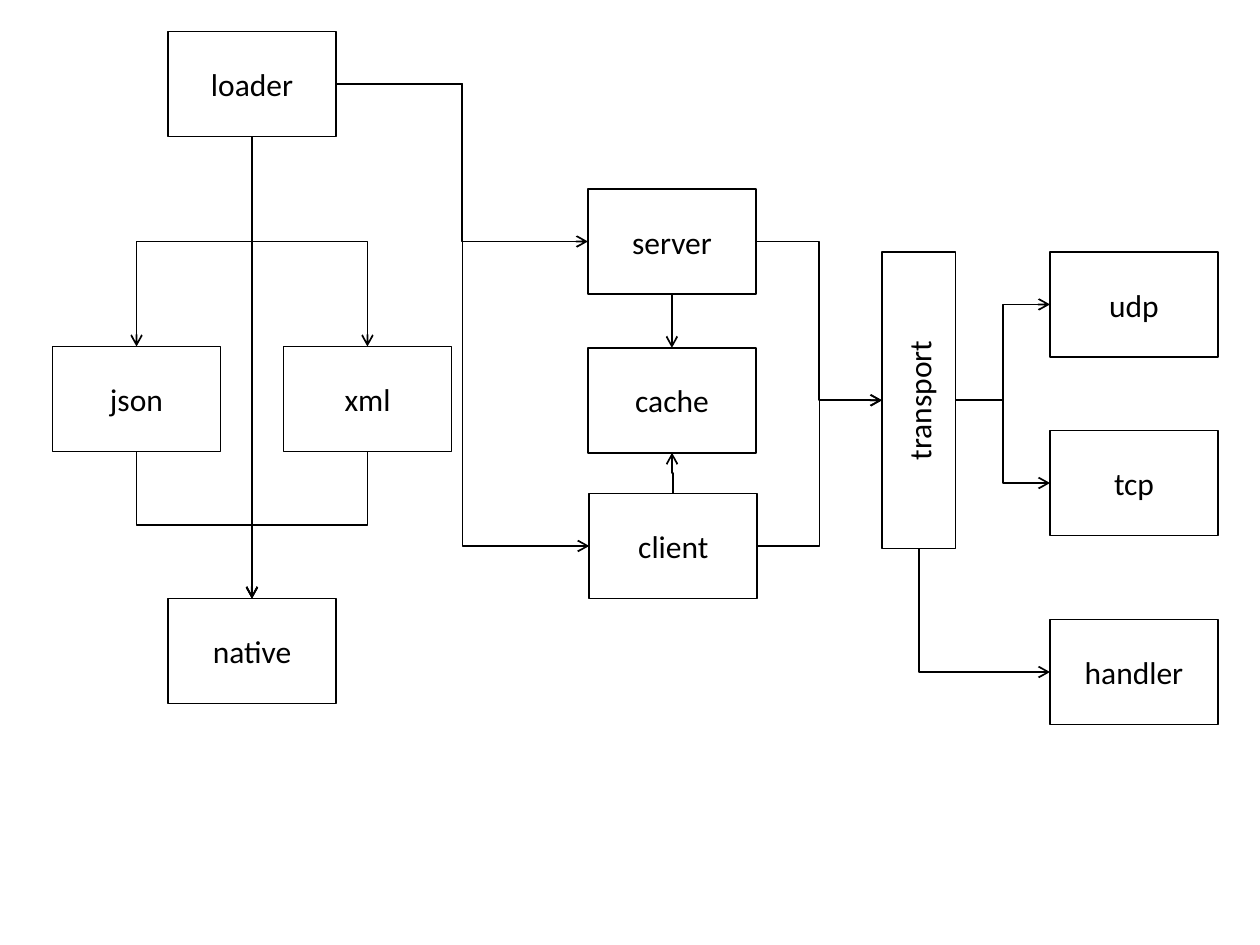
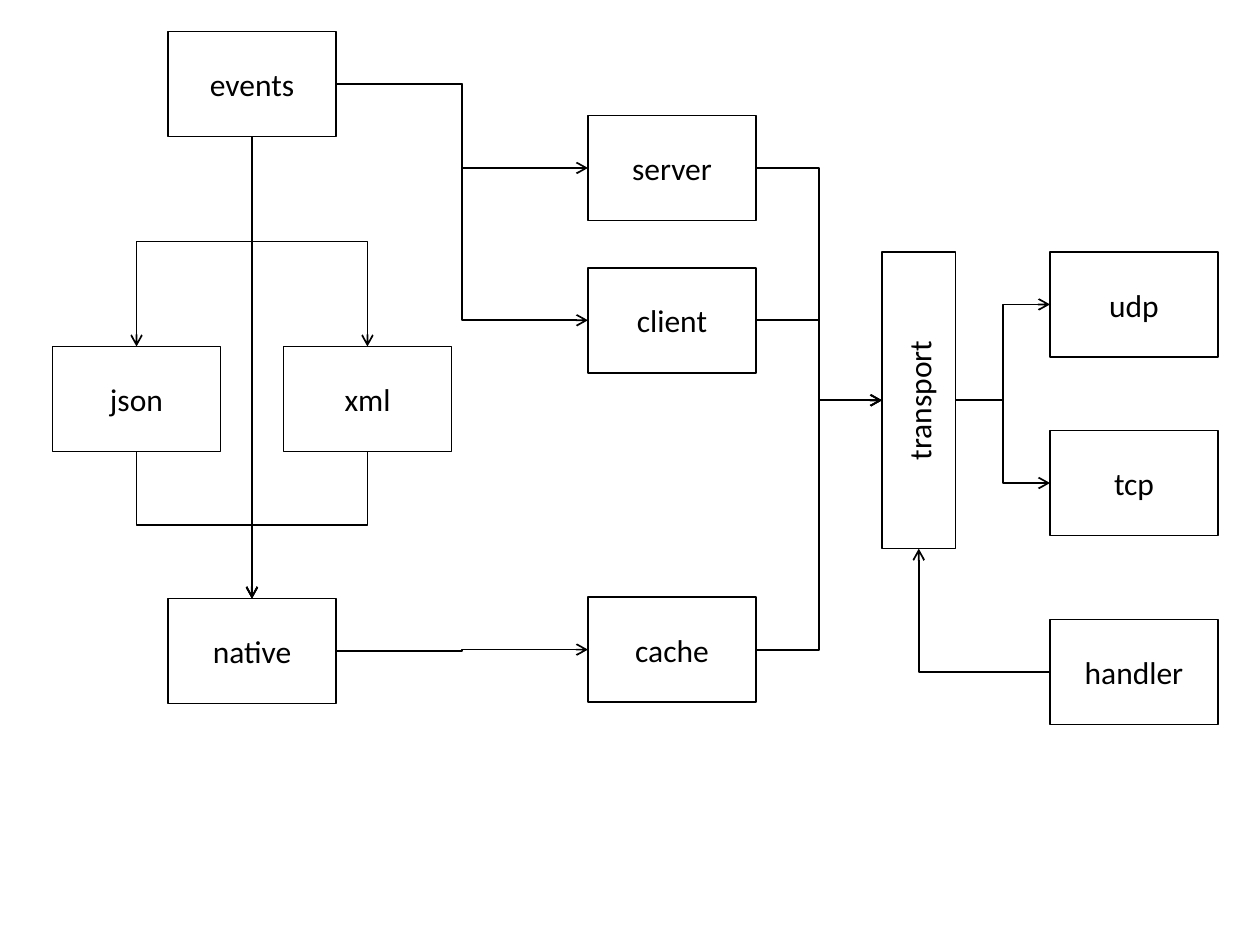
"""Draw the module diagrams of the loader and of the events."""
import pptx
import pptx.dml.color
import pptx.enum.shapes
import pptx.enum.text
import pptx.oxml.ns
import pptx.util
import lxml.etree

PX = 9525
INK = pptx.dml.color.RGBColor(0, 0, 0)
FONT = "Calibri"
BOX_WIDTH, BOX_HEIGHT = 128, 80
TOP, LEFT, BOTTOM, RIGHT = range(4)
QUARTER_TURN = 5400000

shared_boxes = {
    "udp": (800, 192),
    "tcp": (800, 328),
    "transport": (672, 192),
    "native": (128, 456),
    "xml": (216, 264),
    "json": (40, 264),
    "handler": (800, 472),
}
shared_links = [
    ("xml", BOTTOM, "native", TOP),
    ("json", BOTTOM, "native", TOP),
    ("server", RIGHT, "transport", LEFT),
    ("client", RIGHT, "transport", LEFT),
    ("transport", RIGHT, "udp", LEFT),
    ("transport", RIGHT, "tcp", LEFT),
]
diagrams = [
    (
        "loader",
        {"server": (448, 144), "client": (449, 376), "cache": (448, 265)},
        [
            ("server", BOTTOM, "cache", TOP),
            ("client", TOP, "cache", BOTTOM),
            ("transport", BOTTOM, "handler", LEFT),
        ],
    ),
    (
        "events",
        {"server": (448, 88), "client": (448, 204), "cache": (448, 455)},
        [
            ("native", RIGHT, "cache", LEFT),
            ("cache", RIGHT, "transport", LEFT),
            ("handler", LEFT, "transport", BOTTOM),
        ],
    ),
]


def add_box(slide, label, left, top):
    upright = label == "transport"
    width, height = (56, 226) if upright else (BOX_WIDTH, BOX_HEIGHT)
    box = slide.shapes.add_shape(
        pptx.enum.shapes.MSO_SHAPE.RECTANGLE,
        left * PX, top * PX, width * PX, height * PX,
    )
    box.shadow.inherit = False
    box.fill.background()
    box.line.color.rgb = INK
    box.line.width = pptx.util.Pt(1)
    frame = box.text_frame
    frame.text = label
    frame.word_wrap = True
    frame.vertical_anchor = pptx.enum.text.MSO_ANCHOR.MIDDLE
    if upright:
        frame._txBody.bodyPr.set("vert", "vert270")
    paragraph = frame.paragraphs[0]
    paragraph.alignment = pptx.enum.text.PP_ALIGN.CENTER
    font = paragraph.runs[0].font
    font.name = FONT
    font.size = pptx.util.Pt(18)
    font.color.rgb = INK
    return box


def add_link(slide, source, source_side, target, target_side):
    link = slide.shapes.add_connector(
        pptx.enum.shapes.MSO_CONNECTOR.ELBOW, 0, 0, 0, 0
    )
    link.begin_connect(source, source_side)
    link.end_connect(target, target_side)
    run, drop = link.end_x - link.begin_x, link.end_y - link.begin_y
    center_x = (link.begin_x + link.end_x) // 2
    center_y = (link.begin_y + link.end_y) // 2

    turns = 0
    if source_side in (TOP, BOTTOM):
        turns = 1 if run < 0 < drop else 3
    elif run < 0:
        turns = 2
    for _ in range(turns):
        run, drop = drop, -run
    link.begin_x, link.end_x = center_x - run // 2, center_x + run // 2
    link.begin_y, link.end_y = center_y - drop // 2, center_y + drop // 2

    properties = link._element.spPr
    if turns:
        properties.xfrm.set("rot", str(turns * QUARTER_TURN))
    if source_side % 2 != target_side % 2:
        properties.find(pptx.oxml.ns.qn("a:prstGeom")).set("prst", "bentConnector2")
    link.line.color.rgb = INK
    link.line.width = pptx.util.Pt(1)
    arrowhead = lxml.etree.SubElement(properties.ln, pptx.oxml.ns.qn("a:tailEnd"))
    arrowhead.set("type", "arrow")
    lxml.etree.SubElement(properties, pptx.oxml.ns.qn("a:effectLst"))


deck = pptx.Presentation()
deck.slide_width = 960 * PX
deck.slide_height = 720 * PX

for root, own_boxes, own_links in diagrams:
    slide = deck.slides.add_slide(deck.slide_layouts[6])
    places = {root: (128, 24), **shared_boxes, **own_boxes}
    boxes = {label: add_box(slide, label, *place) for label, place in places.items()}
    root_links = [
        (root, RIGHT, "server", LEFT),
        (root, RIGHT, "client", LEFT),
        (root, BOTTOM, "native", TOP),
        (root, BOTTOM, "xml", TOP),
        (root, BOTTOM, "json", TOP),
    ]
    for source, source_side, target, target_side in root_links + shared_links + own_links:
        add_link(slide, boxes[source], source_side, boxes[target], target_side)

deck.save("out.pptx")
